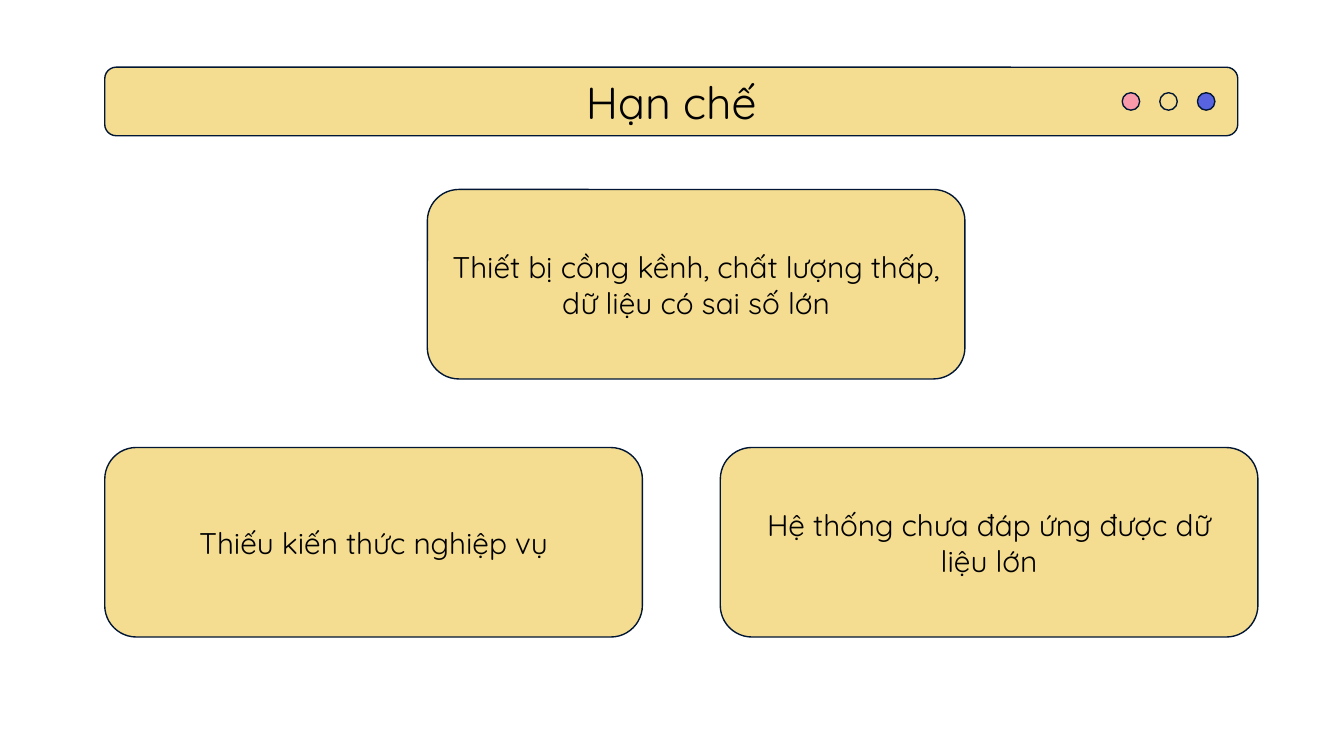
from dataclasses import dataclass

from pptx import Presentation
from pptx.dml.color import RGBColor
from pptx.enum.shapes import MSO_SHAPE
from pptx.enum.text import MSO_ANCHOR, PP_ALIGN
from pptx.util import Inches, Pt


@dataclass(frozen=True)
class Theme:
    panel: str = "F4DC90"
    outline: str = "011635"
    text: str = "000000"
    pink: str = "F99AAA"
    blue: str = "5863E0"
    font: str = "Quicksand"
    title_size: int = 24
    body_size: int = 16
    line_width: float = 0.75


THEME = Theme()


def add_outlined_shape(slide, kind, box, fill):
    shape = slide.shapes.add_shape(kind, *(Inches(length) for length in box))
    shape.shadow.inherit = False
    shape.fill.solid()
    shape.fill.fore_color.rgb = RGBColor.from_string(fill)
    shape.line.color.rgb = RGBColor.from_string(THEME.outline)
    shape.line.width = Pt(THEME.line_width)
    return shape


def add_panel(slide, box, text, size):
    """Rounded panel with centred text."""
    shape = add_outlined_shape(slide, MSO_SHAPE.ROUNDED_RECTANGLE, box, THEME.panel)
    shape.adjustments[0] = 1 / 6
    frame = shape.text_frame
    frame.word_wrap = True
    frame.vertical_anchor = MSO_ANCHOR.MIDDLE
    frame.margin_left = frame.margin_right = Inches(0.1)
    frame.margin_top = frame.margin_bottom = Inches(0.1)
    paragraph = frame.paragraphs[0]
    paragraph.alignment = PP_ALIGN.CENTER
    run = paragraph.add_run()
    run.text = text
    run.font.name = THEME.font
    run.font.size = Pt(size)
    run.font.color.rgb = RGBColor.from_string(THEME.text)


def add_title_bar(slide, box, title):
    """Title panel with three window buttons at its right end."""
    left, top, width, height = box
    add_panel(slide, box, title, THEME.title_size)
    diameter, pitch = 0.13, 0.28
    first_left = left + width - 0.86
    button_top = top + (height - diameter) / 2
    for index, color in enumerate((THEME.pink, THEME.panel, THEME.blue)):
        button = (first_left + index * pitch, button_top, diameter, diameter)
        add_outlined_shape(slide, MSO_SHAPE.OVAL, button, color)


def add_limitations(slide, box, top_text, bottom_texts):
    """One card above a row of two cards."""
    left, top, width, height = box
    card_width, card_height = 4, 1.41
    step = width - card_width
    bottom_top = top + height - card_height
    for index, text in enumerate(bottom_texts):
        card = (left + index * step, bottom_top, card_width, card_height)
        add_panel(slide, card, text, THEME.body_size)
    add_panel(slide, (left + 2.4, top, card_width, card_height), top_text, THEME.body_size)


def main():
    # Widescreen 16:9 slide
    presentation = Presentation()
    presentation.slide_width = Inches(10)
    presentation.slide_height = Inches(10) * 9 // 16
    slide = presentation.slides.add_slide(presentation.slide_layouts[6])

    add_limitations(
        slide,
        (0.78, 1.41, 8.58, 3.33),
        "Thiết bị cồng kềnh, chất lượng thấp, dữ liệu có sai số lớn",
        ("Thiếu kiến thức nghiệp vụ", "Hệ thống chưa đáp ứng được dữ liệu lớn"),
    )
    add_title_bar(slide, (0.78, 0.5, 8.43, 0.51), "Hạn chế")

    presentation.save("out.pptx")


if __name__ == "__main__":
    main()
